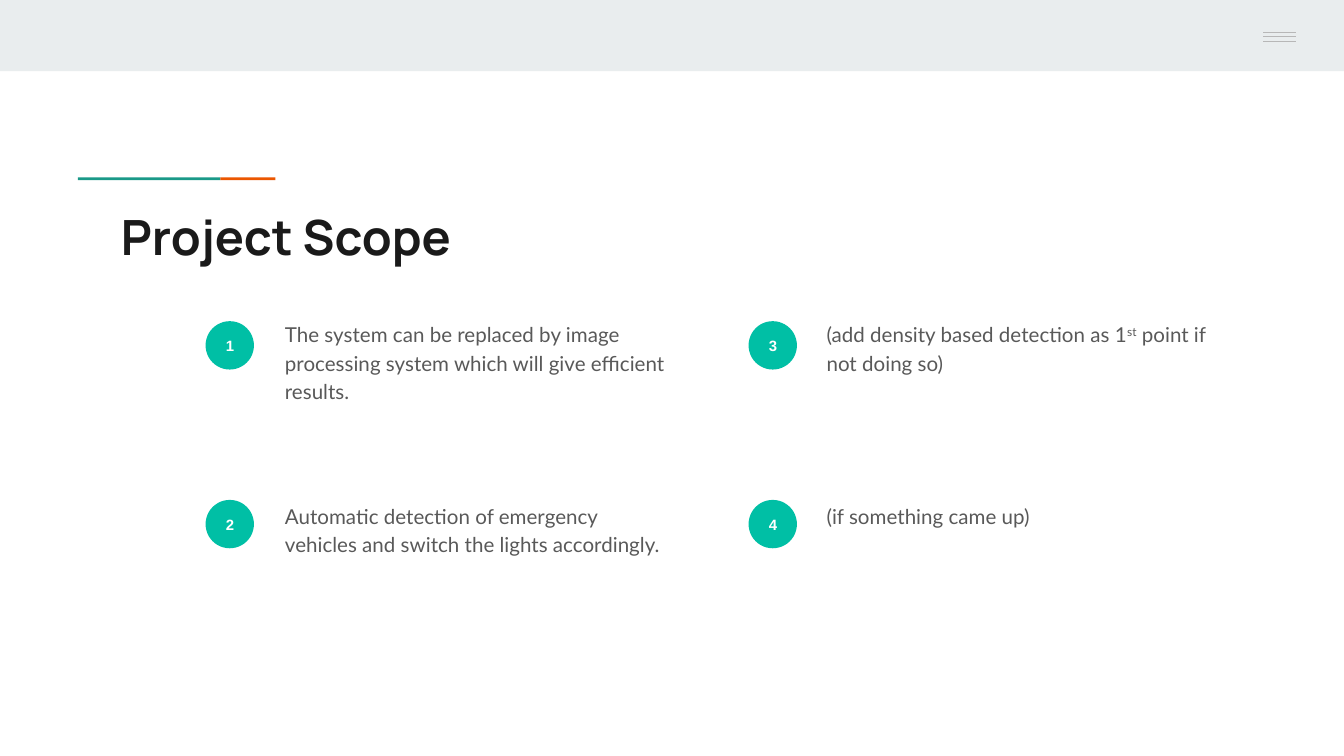
from lxml import etree
from pptx import Presentation
from pptx.dml.color import RGBColor
from pptx.enum.shapes import MSO_CONNECTOR, MSO_SHAPE
from pptx.enum.text import MSO_ANCHOR, MSO_AUTO_SIZE, PP_ALIGN
from pptx.oxml.ns import qn
from pptx.util import Inches, Pt

RECT, OVAL = MSO_SHAPE.RECTANGLE, MSO_SHAPE.OVAL
LINE = MSO_CONNECTOR.STRAIGHT
TOP, MIDDLE = MSO_ANCHOR.TOP, MSO_ANCHOR.MIDDLE
LEFT, CENTER = PP_ALIGN.LEFT, PP_ALIGN.CENTER
FIXED = MSO_AUTO_SIZE.NONE

WHITE = RGBColor(0xFF, 0xFF, 0xFF)
PALE = RGBColor(0xE9, 0xED, 0xEE)
ORANGE = RGBColor(0xEB, 0x56, 0x00)
GREEN = RGBColor(0x1A, 0x99, 0x88)
TEAL = RGBColor(0x00, 0xBF, 0xA5)
SILVER = RGBColor(0xB7, 0xB7, 0xB7)
INK = RGBColor(0x1A, 0x1A, 0x1A)
GRAY = RGBColor(0x59, 0x59, 0x59)

# Each item is a list of (text, is superscript) runs.
ITEMS = [
    [("The system can be replaced by image processing system "
      "which will give efficient results.", False)],
    [("Automatic detection of emergency vehicles and switch "
      "the lights accordingly.", False)],
    [("(add density based detection as 1", False), ("st", True),
     (" point if not doing so)", False)],
    [("(if something came up)", False)],
]


class Page:
    """Holds the current slide and the look of its elements."""

    def __init__(self, slide):
        self.slide = slide
        self.shapes = slide.shapes

    def shape(self, kind, x, y, w, h, fill):
        shape = self.shapes.add_shape(
            kind, Inches(x), Inches(y), Inches(w), Inches(h))
        shape.shadow.inherit = False
        shape.fill.solid()
        shape.fill.fore_color.rgb = fill
        shape.line.fill.background()
        return shape

    def rule(self, x, y, w):
        line = self.shapes.add_connector(
            LINE, Inches(x), Inches(y), Inches(x + w), Inches(y))
        line.line.color.rgb = SILVER
        line.line.width = Pt(0.75)
        etree.SubElement(line._element.spPr, qn("a:effectLst"))

    def style(self, shape, name, size, color, bold, align, anchor):
        frame = shape.text_frame
        frame.word_wrap = True
        frame.auto_size = FIXED
        frame.vertical_anchor = anchor
        frame.margin_left = frame.margin_right = Inches(0.1)
        frame.margin_top = frame.margin_bottom = Inches(0.1)
        para = frame.paragraphs[0]
        para.alignment = align
        para.space_before = Pt(0)
        font = para.font
        font.name, font.size, font.bold = name, Pt(size), bold
        font.color.rgb = color
        return para

    def place(self, shape, x, y, w, h):
        shape.left, shape.top = Inches(x), Inches(y)
        shape.width, shape.height = Inches(w), Inches(h)

    def title(self, text):
        shape = self.shapes.title
        self.place(shape, 0.8, 1.44, 8.41, 0.59)
        shape.text_frame.text = text
        self.style(shape, "Manrope", 26, INK, True, LEFT, TOP)

    def badge(self, num, x, y):
        shape = self.shape(OVAL, x, y, 0.36, 0.36, TEAL)
        shape.text_frame.text = str(num)
        self.style(shape, "Arial", 8, WHITE, True, CENTER, MIDDLE)

    def body(self, idx, x, y, runs):
        shape = self.slide.placeholders[idx]
        self.place(shape, x, y, 3.1, 1.15)
        para = self.style(shape, "Lato", 11, GRAY, False, LEFT, TOP)
        para.line_spacing = 1.15
        para.space_after = Pt(16)
        props = para._p.get_or_add_pPr()
        props.set("marL", "0")
        props.set("indent", "0")
        props.find(qn("a:spcAft")).addnext(
            etree.Element(qn("a:buNone")))
        for text, high in runs:
            run = para.add_run()
            run.text = text
            if high:
                run.font._element.set("baseline", "30000")


def main():
    deck = Presentation()
    deck.slide_width = Inches(10)
    deck.slide_height = deck.slide_width * 9 // 16
    # The comparison layout has a title and four text places.
    page = Page(deck.slides.add_slide(deck.slide_layouts[4]))

    page.shape(RECT, 0, 0, 10, 0.53, PALE)
    page.shape(RECT, 0.58, 1.32, 1.06, 0.02, GREEN)
    page.shape(RECT, 1.64, 1.32, 0.41, 0.02, ORANGE)
    for y in (0.24, 0.27, 0.31):
        page.rule(9.4, y, 0.24)

    page.title("Project Scope")
    for i, runs in enumerate(ITEMS):
        col, row = divmod(i, 2)
        page.badge(i + 1, 1.53 + col * 4.04, 2.39 + row * 1.33)
        page.body(i + 1, 2.02 + col * 4.03, 2.27 + row * 1.35, runs)

    deck.save("out.pptx")


if __name__ == "__main__":
    main()
